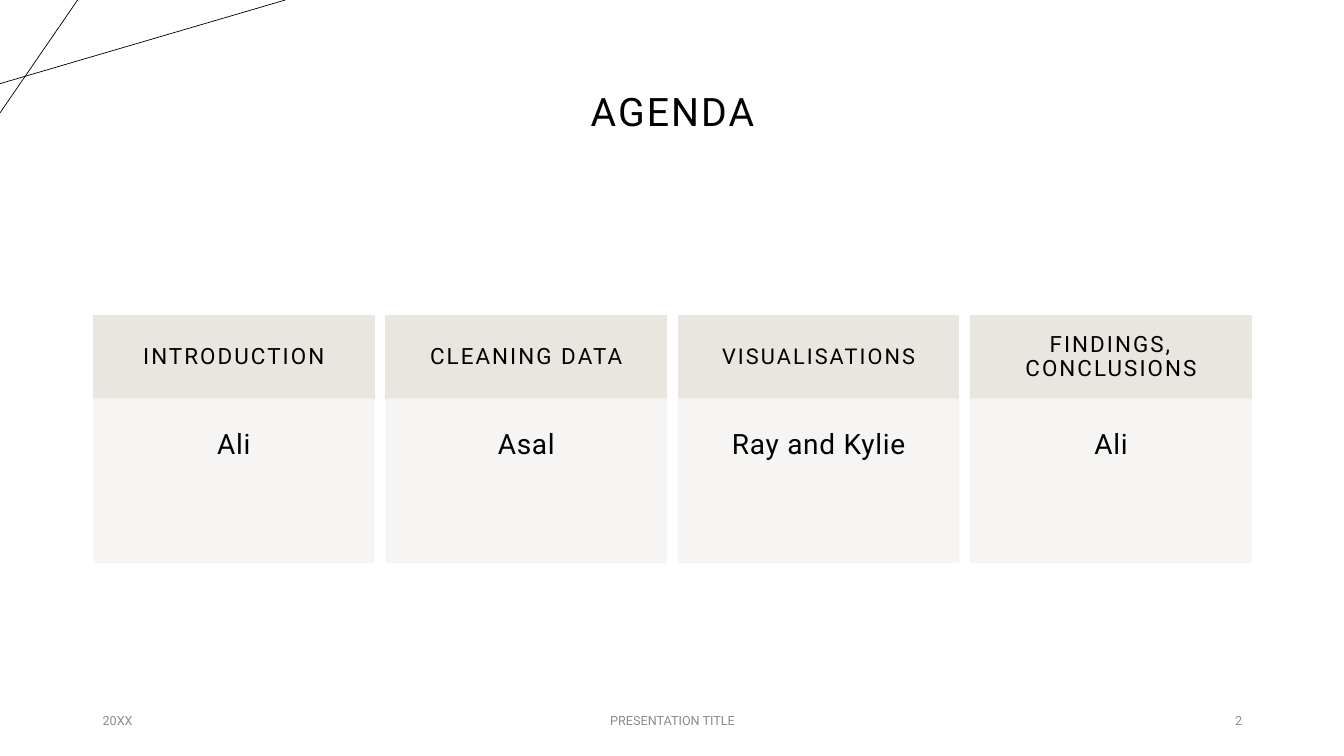
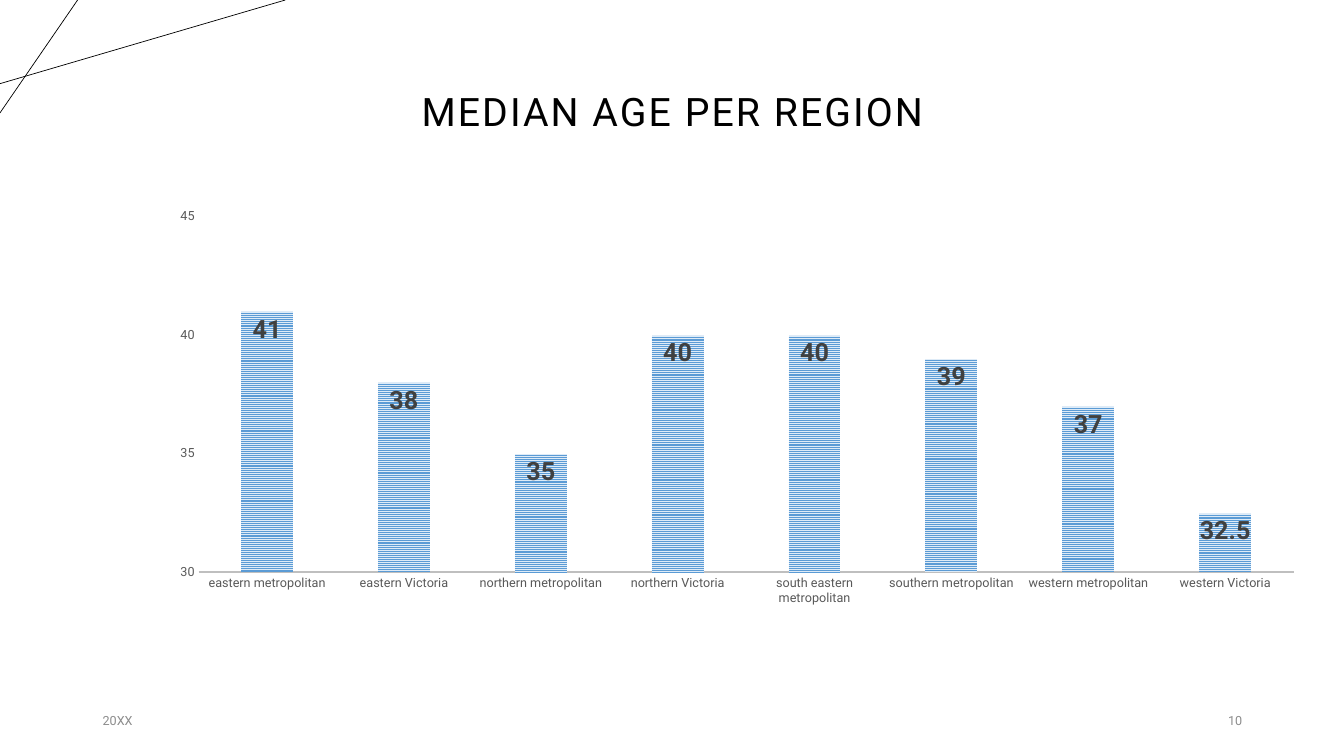
"""Builds an agenda slide and a median age chart slide in one shared style."""
from lxml import etree
from pptx import Presentation
from pptx.chart.data import CategoryChartData
from pptx.dml.color import RGBColor
from pptx.enum.chart import XL_CHART_TYPE, XL_LABEL_POSITION, XL_TICK_MARK
from pptx.enum.dml import MSO_PATTERN
from pptx.enum.shapes import MSO_CONNECTOR, MSO_SHAPE
from pptx.enum.text import MSO_ANCHOR, MSO_AUTO_SIZE, PP_ALIGN
from pptx.oxml.ns import qn
from pptx.util import Inches, Pt

LEFT, CENTER, RIGHT = PP_ALIGN.LEFT, PP_ALIGN.CENTER, PP_ALIGN.RIGHT
TOP, MIDDLE = MSO_ANCHOR.TOP, MSO_ANCHOR.MIDDLE
NO_TICK = XL_TICK_MARK.NONE

FONT = "Roboto"
COLORS = {
    "page": "FFFFFF", "text": "000000", "footer": "8C8C8C",
    "head": "E9E6DF", "card": "F7F5F3",
    "axis_text": "595959", "axis_line": "BFBFBF", "label": "404040",
    "bar": "5B9BD5", "bar_back": "DEEBF7",
}
SLIDE_W, SLIDE_H = 13.33, 7.5
MARGIN, CONTENT_W = 0.92, 11.5
CARD_X, CARD_PITCH, CARD_W = 0.93, 2.9, 2.78
HEAD_Y, HEAD_H, CARD_H = 3.13, 0.83, 1.62
FOOTER_Y, FOOTER_H = 6.95, 0.4
CORNER_LINES = [(0, 0.83, 2.83, 0), (0.77, 0, 0, 1.12)]

AGENDA = [
    ("INTRODUCTION", 16, "Ali"),
    ("CLEANING DATA", 16, "Asal"),
    ("VISUALISATIONS", 15.5, "Ray and Kylie"),
    ("FINDINGS, CONCLUSIONS", 16, "Ali"),
]
MEDIAN_AGES = {
    "eastern metropolitan": 41, "eastern Victoria": 38,
    "northern metropolitan": 35, "northern Victoria": 40,
    "south eastern metropolitan": 40, "southern metropolitan": 39,
    "western metropolitan": 37, "western Victoria": 32.5,
}


def rgb(name):
    return RGBColor.from_string(COLORS[name])


def style_font(font, size, color, bold=False):
    font.name, font.size, font.bold = FONT, Pt(size), bold
    font.color.rgb = rgb(color)


def set_text(sp, text, size, color="text", align=CENTER, anchor=MIDDLE,
             spacing=0, line_spacing=1.0, inset=None):
    tf = sp.text_frame
    tf.text = text
    tf.word_wrap = True
    tf.auto_size = MSO_AUTO_SIZE.NONE
    tf.vertical_anchor = anchor
    if inset is not None:
        tf.margin_left = tf.margin_right = Inches(inset)
        tf.margin_top = tf.margin_bottom = Inches(inset)
    p = tf.paragraphs[0]
    p.alignment, p.line_spacing = align, line_spacing
    r = p.runs[0]
    style_font(r.font, size, color)
    r.font._element.set("spc", str(int(spacing * 100)))


def add_line(slide, x1, y1, x2, y2):
    line = slide.shapes.add_connector(
        MSO_CONNECTOR.STRAIGHT, Inches(x1), Inches(y1), Inches(x2), Inches(y2))
    line.line.color.rgb = rgb("text")
    line.line.width = Pt(0.5)
    etree.SubElement(line._element.spPr, qn("a:effectLst"))


def add_block(slide, x, y, w, h, color, opacity=100):
    sp = slide.shapes.add_shape(
        MSO_SHAPE.RECTANGLE, Inches(x), Inches(y), Inches(w), Inches(h))
    sp.shadow.inherit = False
    sp.fill.solid()
    sp.fill.fore_color.rgb = rgb(color)
    sp.line.color.rgb = rgb(color)
    sp.line.width = Pt(1)
    if opacity < 100:
        for clr in sp._element.spPr.iter(qn("a:srgbClr")):
            etree.SubElement(clr, qn("a:alpha")).set("val", str(opacity * 1000))
    return sp


def add_footer(slide, text, x, w, align):
    sp = slide.shapes.add_textbox(
        Inches(x), Inches(FOOTER_Y), Inches(w), Inches(FOOTER_H))
    set_text(sp, text, 9, "footer", align)


def add_slide(prs, title, number):
    slide = prs.slides.add_slide(prs.slide_layouts[5])
    slide.background.fill.solid()
    slide.background.fill.fore_color.rgb = rgb("page")
    for ends in CORNER_LINES:
        add_line(slide, *ends)
    sp = slide.shapes.title
    sp.left, sp.top = Inches(MARGIN), Inches(0.4)
    sp.width, sp.height = Inches(CONTENT_W), Inches(1.45)
    set_text(sp, title, 28, spacing=1.5, line_spacing=0.9)
    add_footer(slide, "20XX", MARGIN, 3, LEFT)
    add_footer(slide, number, MARGIN + CONTENT_W - 3, 3, RIGHT)
    return slide


def add_card(slide, col, topic, size, speaker):
    x = CARD_X + col * CARD_PITCH
    head = add_block(slide, x, HEAD_Y, CARD_W, HEAD_H, "head")
    set_text(head, topic, size, spacing=1.5, line_spacing=0.9, inset=0.22)
    body = add_block(slide, x, HEAD_Y + HEAD_H, CARD_W, CARD_H, "card", 90)
    set_text(body, speaker, 20, anchor=TOP, spacing=0.5, inset=0.27)


def style_axis(axis):
    axis.major_tick_mark = axis.minor_tick_mark = NO_TICK
    axis.has_major_gridlines = False
    style_font(axis.tick_labels.font, 9, "axis_text")


def add_column_chart(slide, values):
    data = CategoryChartData()
    data.categories = list(values)
    data.add_series("Series 1", list(values.values()))
    chart = slide.shapes.add_chart(
        XL_CHART_TYPE.COLUMN_CLUSTERED, Inches(1.56), Inches(1.99),
        Inches(CONTENT_W), Inches(4.1), data).chart
    chart.has_legend = chart.has_title = False
    style_font(chart.font, 10, "text")

    cat, val = chart.category_axis, chart.value_axis
    style_axis(cat)
    cat.format.line.color.rgb = rgb("axis_line")
    cat.format.line.width = Pt(1.5)
    style_axis(val)
    val.format.line.fill.background()
    val.minimum_scale, val.maximum_scale, val.major_unit = 30, 45, 5

    plot = chart.plots[0]
    plot.vary_by_categories = False
    plot.gap_width, plot.overlap = 164, -22
    series = plot.series[0]
    fill = series.format.fill
    fill.patterned()
    fill.pattern = MSO_PATTERN.NARROW_HORIZONTAL
    fill.fore_color.rgb, fill.back_color.rgb = rgb("bar"), rgb("bar_back")
    labels = series.data_labels
    labels.show_value = True
    labels.position = XL_LABEL_POSITION.INSIDE_END
    style_font(labels.font, 18, "label", bold=True)


def main():
    prs = Presentation()
    prs.slide_width, prs.slide_height = Inches(SLIDE_W), Inches(SLIDE_H)

    slide = add_slide(prs, "AGENDA", "2")
    for col, item in enumerate(AGENDA):
        add_card(slide, col, *item)
    add_footer(slide, "PRESENTATION TITLE", 4.42, 4.5, CENTER)

    slide = add_slide(prs, "MEDIAN AGE PER REGION", "10")
    add_column_chart(slide, MEDIAN_AGES)

    prs.save("out.pptx")


if __name__ == "__main__":
    main()
